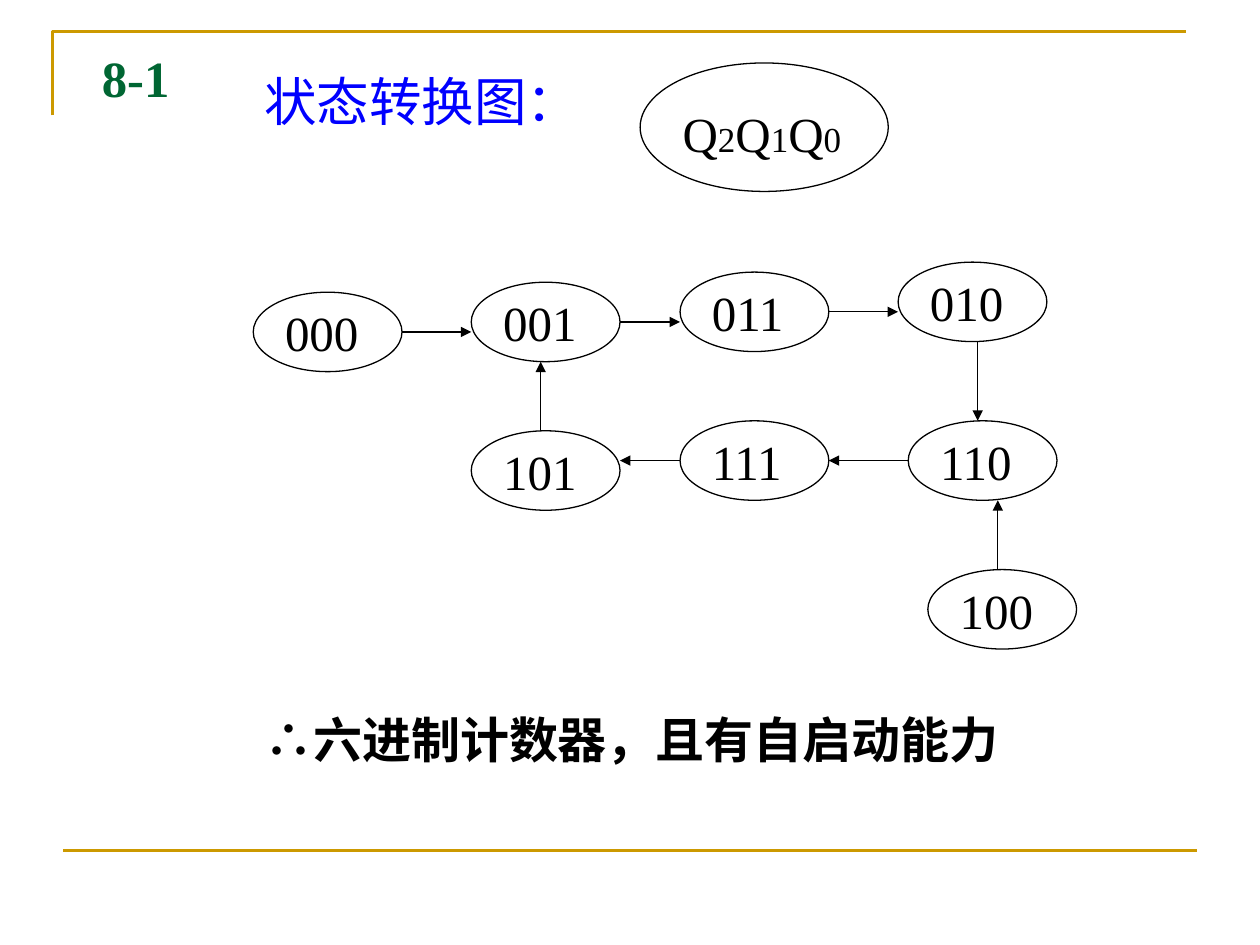
"""Build the state transition diagram slide of a self-starting six-state counter."""
from dataclasses import dataclass

from lxml.etree import SubElement
from pptx import Presentation
from pptx.dml.color import RGBColor as Color
from pptx.enum.shapes import MSO_CONNECTOR as Connector, MSO_SHAPE as Shape
from pptx.oxml.ns import qn
from pptx.util import Pt


@dataclass(frozen=True)
class Theme:
    ink: str = "000000"
    gold: str = "CC9900"
    blue: str = "0000FF"
    green: str = "006633"
    serif: str = "Times New Roman"
    sans: str = "Noto Sans CJK SC"
    title: float = 30
    number: float = 29
    body: float = 28
    index: float = 20
    rule: float = 1.5
    outline: float = 0.75


THEME = Theme()
STATE_WIDTH, STATE_HEIGHT = 85, 45.4
STATES = {
    "000": (144.7, 167),
    "001": (269.3, 161.3),
    "011": (388.6, 155.5),
    "010": (513.2, 149.8),
    "110": (519, 240.5),
    "111": (388.6, 240.5),
    "101": (269.3, 246.2),
    "100": (530.2, 325.5),
}
FORWARD = [("000", "001"), ("001", "011"), ("011", "010")]
BACKWARD = [("110", "111"), ("111", "101")]
DOWNWARD = [("010", "110", 558.7)]
UPWARD = [("101", "001", 309), ("100", "110", 570.2)]


def style_line(line, color, width):
    line.color.rgb = Color.from_string(color)
    line.width = Pt(width)


def add_text(shapes, spans, frame, color=THEME.ink, font=THEME.serif, bold=False, wrap=True):
    box = shapes.add_textbox(*map(Pt, frame))
    box.text_frame.word_wrap = wrap
    para = box.text_frame.paragraphs[0]
    for text, size in spans:
        span = para.add_run()
        span.text = text
        span.font.size = Pt(size)
        span.font.name = font
        span.font.bold = bold
        span.font.color.rgb = Color.from_string(color)
        SubElement(span.font._element, qn("a:ea")).set("typeface", THEME.sans)


def add_ellipse(shapes, frame):
    ellipse = shapes.add_shape(Shape.OVAL, *map(Pt, frame))
    ellipse.shadow.inherit = False
    ellipse.fill.background()
    style_line(ellipse.line, THEME.ink, THEME.outline)


def add_labelled_ellipse(slide, ellipse_frame, spans, text_frame):
    group = slide.shapes.add_group_shape()
    add_ellipse(group.shapes, ellipse_frame)
    add_text(group.shapes, spans, text_frame)


def add_state(slide, code):
    left, top = STATES[code]
    add_labelled_ellipse(
        slide,
        (left, top, STATE_WIDTH, STATE_HEIGHT),
        [(code, THEME.body)],
        (left + 11.1, top + 2.5, 73.4, 41),
    )


def add_line(slide, start, end, color, width):
    line = slide.shapes.add_connector(Connector.STRAIGHT, *map(Pt, (*start, *end)))
    style_line(line.line, color, width)
    SubElement(line._element.spPr, qn("a:effectLst"))
    return line


def add_arrow(slide, start, end):
    arrow = add_line(slide, start, end, THEME.ink, THEME.outline)
    SubElement(arrow.line._get_or_add_ln(), qn("a:tailEnd")).set("type", "triangle")


def add_transitions(slide):
    middle = STATE_HEIGHT / 2
    for source, target in FORWARD:
        left, top = STATES[source]
        height = top + middle
        add_arrow(slide, (left + STATE_WIDTH, height), (STATES[target][0], height))
    for source, target in BACKWARD:
        left, top = STATES[source]
        height = top + middle
        add_arrow(slide, (left, height), (STATES[target][0] + STATE_WIDTH, height))
    for source, target, across in DOWNWARD:
        add_arrow(slide, (across, STATES[source][1] + STATE_HEIGHT), (across, STATES[target][1]))
    for source, target, across in UPWARD:
        add_arrow(slide, (across, STATES[source][1]), (across, STATES[target][1] + STATE_HEIGHT))


def add_corner(slide):
    builder = slide.shapes.build_freeform(Pt(30), Pt(66), scale=1.0)
    builder.add_line_segments([(Pt(30), Pt(18)), (Pt(678), Pt(18))], close=False)
    corner = builder.convert_to_shape()
    corner.shadow.inherit = False
    corner.fill.background()
    style_line(corner.line, THEME.gold, THEME.rule)


def main():
    deck = Presentation()
    deck.slide_width, deck.slide_height = Pt(720), Pt(540)
    page = deck.slides.add_slide(deck.slide_layouts[6])
    add_corner(page)
    add_line(page, (36, 486), (684, 486), THEME.gold, THEME.rule)
    add_text(page.shapes, [("状态转换图：", THEME.title)], (144, 36, 282, 62), THEME.blue)
    name = [part for digit in "210" for part in (("Q", THEME.body), (digit, THEME.index))]
    add_labelled_ellipse(page, (365.8, 36, 141.8, 73.4), name, (383, 55.5, 130.3, 41))
    for code in STATES:
        add_state(page, code)
    add_transitions(page)
    add_text(page.shapes, [("∴六进制计数器，且有自启动能力", THEME.body)],
             (144, 401.8, 459.4, 41), font=THEME.sans, bold=True)
    add_text(page.shapes, [("8-1", THEME.number)], (51.1, 23, 55.4, 42.5),
             THEME.green, bold=True, wrap=False)
    deck.save("out.pptx")


if __name__ == "__main__":
    main()
